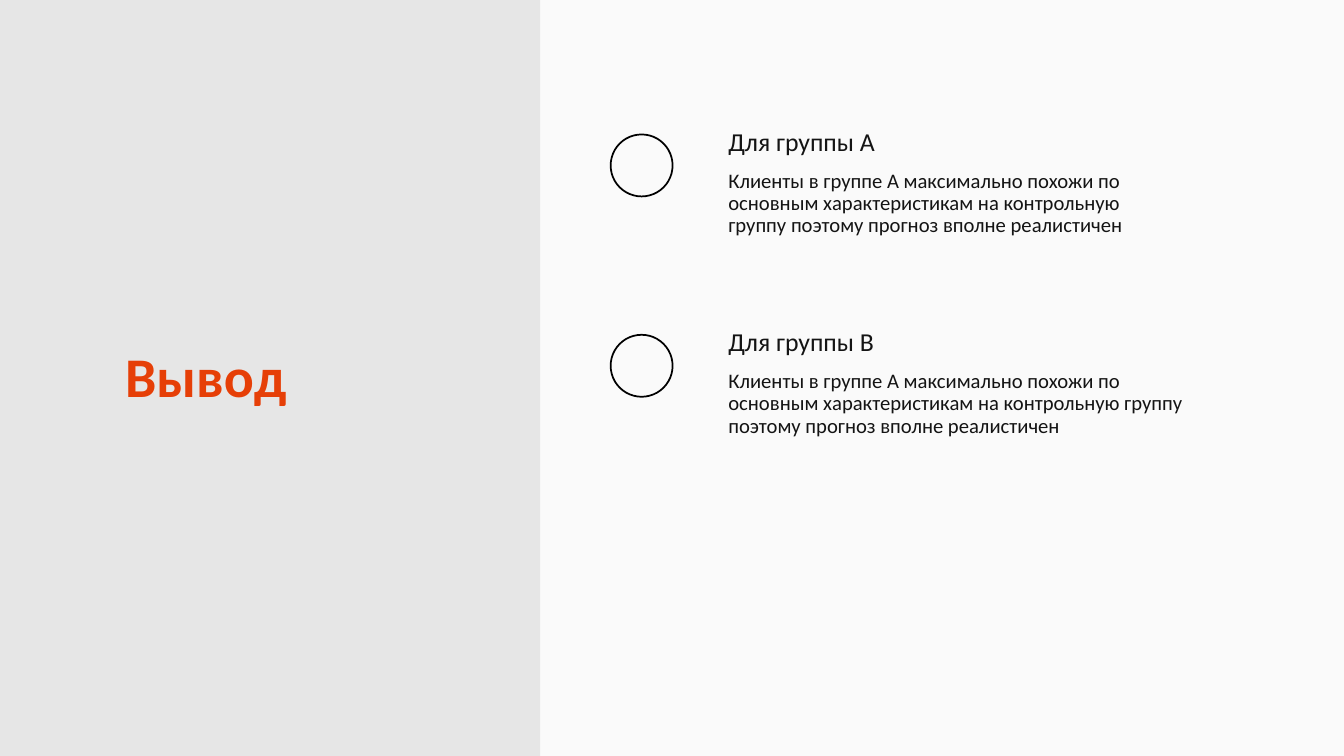
from dataclasses import dataclass

from pptx import Presentation
from pptx.dml.color import RGBColor
from pptx.enum.shapes import MSO_SHAPE
from pptx.enum.text import MSO_ANCHOR, MSO_AUTO_SIZE
from pptx.shapes.autoshape import Shape
from pptx.slide import Slide
from pptx.util import Pt

RECT, OVAL = MSO_SHAPE.RECTANGLE, MSO_SHAPE.OVAL
TOP, MIDDLE = MSO_ANCHOR.TOP, MSO_ANCHOR.MIDDLE
FIT_SHAPE = MSO_AUTO_SIZE.SHAPE_TO_FIT_TEXT


@dataclass(frozen=True)
class Theme:
    font: str = "Calibri"
    background: str = "FAFAFA"
    panel: str = "E6E6E6"
    accent: str = "E63F07"
    ink: str = "141414"
    ring: str = "000000"
    title_size: float = 65
    heading_size: float = 30
    body_size: float = 24


@dataclass(frozen=True)
class Conclusion:
    heading: str
    body: str
    body_width: float


THEME = Theme()
SLIDE_W, SLIDE_H = 1562.4, 878.4
PANEL_W = 627.84
RING_X, RING_D = 709.92, 72
TEXT_X = 846.72
FIRST_Y, PITCH = 156.24, 232.8
FORECAST = (
    "Клиенты в группе А максимально похожи по основным характеристикам "
    "на контрольную группу поэтому прогноз вполне реалистичен"
)
CONCLUSIONS = (
    Conclusion("Для группы А", FORECAST, 516.24),
    Conclusion("Для группы В", FORECAST, 529.2),
)


def rgb(value: str) -> RGBColor:
    return RGBColor.from_string(value)


def add_text(s: Slide, text: str, *, x: float, y: float, w: float, h: float,
             size: float, color: str = THEME.ink, bold: bool = False,
             anchor: MSO_ANCHOR = TOP) -> None:
    tf = s.shapes.add_textbox(Pt(x), Pt(y), Pt(w), Pt(h)).text_frame
    tf.word_wrap = True
    tf.auto_size = FIT_SHAPE
    tf.vertical_anchor = anchor
    tf.margin_left = tf.margin_right = tf.margin_top = tf.margin_bottom = 0
    p = tf.paragraphs[0]
    p.line_spacing = 0.9
    p.space_before = Pt(16.3)
    r = p.add_run()
    r.text = text
    r.font.name = THEME.font
    r.font.size = Pt(size)
    r.font.bold = bold
    r.font.color.rgb = rgb(color)


def add_panel(s: Slide) -> None:
    sp = s.shapes.add_shape(RECT, 0, 0, Pt(PANEL_W), Pt(SLIDE_H))
    sp.shadow.inherit = False
    sp.fill.solid()
    sp.fill.fore_color.rgb = rgb(THEME.panel)
    sp.line.fill.background()


def add_ring(s: Slide, y: float) -> Shape:
    sp = s.shapes.add_shape(OVAL, Pt(RING_X), Pt(y), Pt(RING_D), Pt(RING_D))
    sp.shadow.inherit = False
    sp.fill.background()
    sp.line.color.rgb = rgb(THEME.ring)
    sp.line.width = Pt(2)
    return sp


def add_conclusion(s: Slide, item: Conclusion, y: float) -> None:
    add_ring(s, y)
    add_text(s, item.heading, x=TEXT_X, y=y - 6.24, w=360.72, h=32.4,
             size=THEME.heading_size)
    add_text(s, item.body, x=TEXT_X, y=y + 41.76, w=item.body_width, h=78.48,
             size=THEME.body_size)


def main() -> None:
    """Build the conclusion slide and save it."""
    prs = Presentation()
    prs.slide_width, prs.slide_height = Pt(SLIDE_W), Pt(SLIDE_H)
    s = prs.slides.add_slide(prs.slide_layouts[6])
    s.background.fill.solid()
    s.background.fill.fore_color.rgb = rgb(THEME.background)
    add_panel(s)
    add_text(s, "Вывод", x=145.44, y=407.52, w=411.84, h=67.68,
             size=THEME.title_size, color=THEME.accent, bold=True,
             anchor=MIDDLE)
    for i, item in enumerate(CONCLUSIONS):
        add_conclusion(s, item, FIRST_Y + i * PITCH)
    prs.save("out.pptx")


if __name__ == "__main__":
    main()
